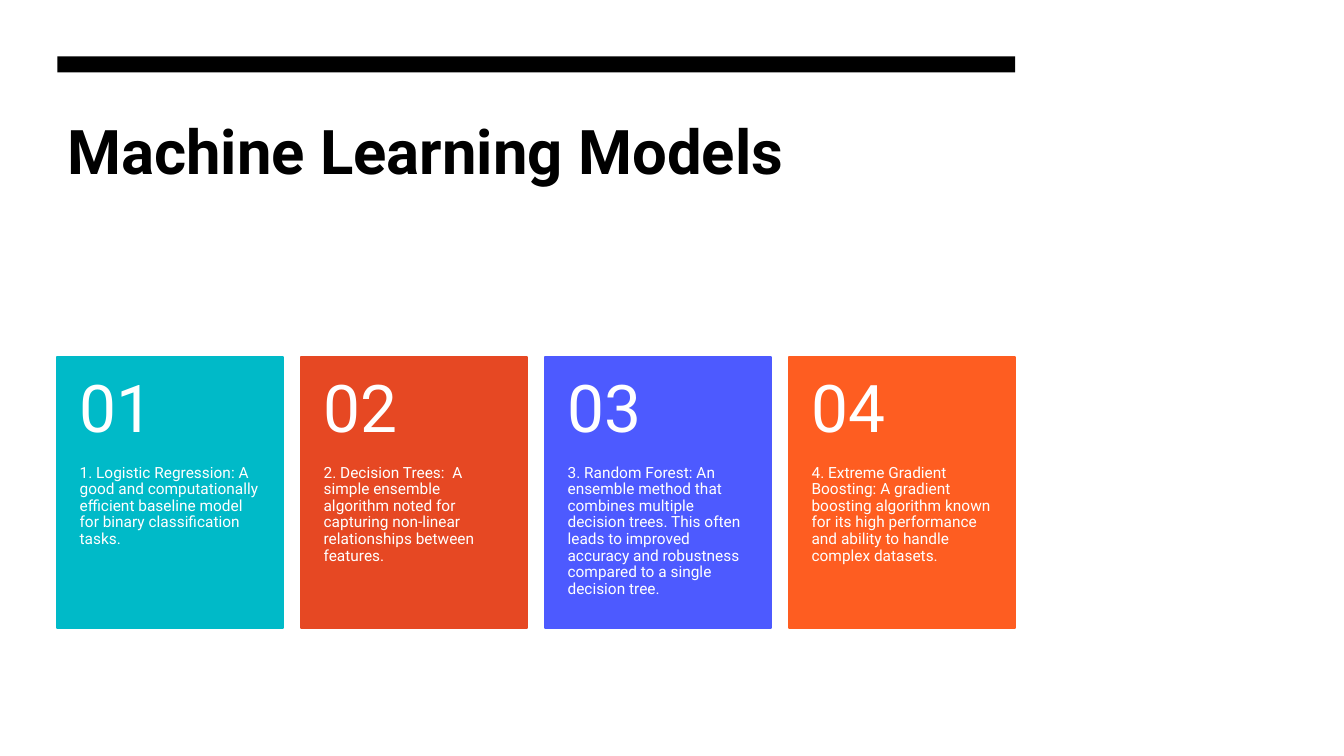
import pptx
import pptx.dml.color
import pptx.enum.shapes
import pptx.enum.text
import pptx.util

PX = 9144  # EMU per px, 100 px to the inch
WHITE, BLACK = "FFFFFF", "000000"
ANCHOR = pptx.enum.text.MSO_ANCHOR


def color(code):
    return pptx.dml.color.RGBColor.from_string(code)


def scale(*sizes):
    return [pptx.util.Emu(size * PX) for size in sizes]


class Deck:
    font = "Roboto"

    def __init__(self, wide, high):
        self.prs = pptx.Presentation()
        self.prs.slide_width, self.prs.slide_height = scale(wide, high)
        self.slide = self.prs.slides.add_slide(self.prs.slide_layouts[6])
        self.home = self.slide.shapes

    def group(self):
        return self.home.add_group_shape().shapes

    def rect(self, home, box, fill, line=None):
        kind = pptx.enum.shapes.MSO_SHAPE.RECTANGLE
        shape = home.add_shape(kind, *scale(*box))
        shape.shadow.inherit = False
        shape.fill.solid()
        shape.fill.fore_color.rgb = color(fill)
        if line:
            shape.line.color.rgb = color(fill)
            shape.line.width = pptx.util.Pt(line)
        else:
            shape.line.fill.background()

    def text(self, home, box, words, size, hue, pad, bold=False,
             anchor=ANCHOR.TOP, space=0.9):
        frame = home.add_textbox(*scale(*box)).text_frame
        left, top, right, base = scale(*pad)
        style = {"word_wrap": True, "vertical_anchor": anchor,
                 "margin_left": left, "margin_top": top,
                 "margin_right": right, "margin_bottom": base}
        for name, value in style.items():
            setattr(frame, name, value)
        para = frame.paragraphs[0]
        para.line_spacing = space
        run = para.add_run()
        run.text = words
        style = {"name": self.font, "size": pptx.util.Pt(size), "bold": bold}
        for name, value in style.items():
            setattr(run.font, name, value)
        run.font.color.rgb = color(hue)


CARDS = [
    ("00BAC8", "1. Logistic Regression: A good and computationally efficient "
               "baseline model for binary classification tasks."),
    ("E64823", "2. Decision Trees:  A simple ensemble algorithm noted for "
               "capturing non-linear relationships between features."),
    ("4D5AFF", "3. Random Forest: An ensemble method that combines multiple "
               "decision trees. This often leads to improved accuracy and "
               "robustness compared to a single decision tree."),
    ("FE5D21", "4. Extreme Gradient Boosting: A gradient boosting algorithm "
               "known for its high performance and ability to handle complex "
               "datasets."),
]
LEFT, TOP, WIDE, HIGH = 57, 354, 224, 269
HEAD, STEP = 108, 242


def main():
    deck = Deck(1333, 750)

    # Backdrop, title and top bar
    deck.rect(deck.home, (0, 0, 1333, 750), WHITE)
    deck.text(deck.home, (LEFT, 107, 950, 160), "Machine Learning Models",
              44, BLACK, (10, 5, 10, 5), bold=True, space=1.0)
    deck.rect(deck.home, (LEFT, 56, 950, 16), BLACK)

    # Model cards: panel, description, number
    for index, (fill, words) in enumerate(CARDS):
        left = LEFT + index * STEP
        card = deck.group()
        deck.rect(card, (left, TOP, WIDE, HIGH), fill, line=1.5)
        deck.text(card, (left, TOP + HEAD - 1, WIDE, HIGH - HEAD), words,
                  11, WHITE, (22, 0, 22, 36))
        deck.text(card, (left, TOP, WIDE, HEAD), f"{index + 1:02}",
                  47, WHITE, (22, 18, 22, 18), anchor=ANCHOR.MIDDLE)

    deck.prs.save("out.pptx")


if __name__ == "__main__":
    main()
